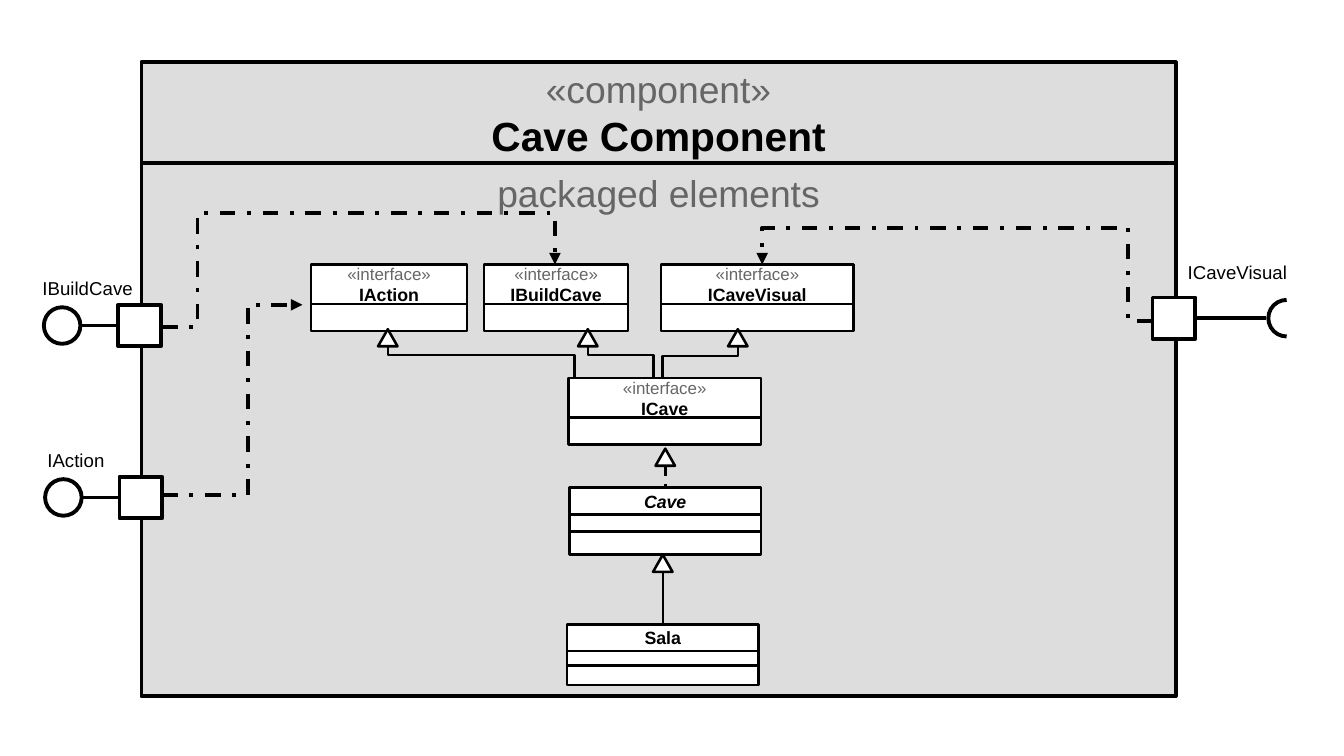
from pptx import Presentation
from pptx import util as u
from pptx.dml.color import RGBColor
from pptx.enum import dml, shapes, text
from pptx.oxml.ns import qn
from lxml import etree

CELL = u.Inches(0.1)  # the slide is a grid of 110.2 columns by 62 rows
BLACK, WHITE, GREY, PANEL = "000000", "FFFFFF", "666666", "DDDDDD"
THICK, THIN = 2.3, 1.5
HEAD_ROWS, BODY_ROWS = 3.3, 2.2
PORT_W, PORT_H, CIRCLE = 3.5, 3.4, 3
TRIANGLE_W, TRIANGLE_H = 1.6, 1.4


def grid(*cells):
    return [round(cell * CELL) for cell in cells]


def color(hex_code):
    return RGBColor.from_string(hex_code)


def set_line(item, width, dashed=False):
    item.line.color.rgb = color(BLACK)
    item.line.width = u.Pt(width)
    if dashed:
        item.line.dash_style = dml.MSO_LINE.DASH_DOT


def write(item, paragraphs, align, anchor, insets):
    """Fill item with (text, size, colour, bold, italic) paragraphs."""
    frame = item.text_frame
    frame.word_wrap = True
    frame.vertical_anchor = anchor
    frame.margin_left = frame.margin_right = u.Inches(insets[0])
    frame.margin_top = frame.margin_bottom = u.Inches(insets[1])
    for index, (words, size, ink, bold, italic) in enumerate(paragraphs):
        para = frame.add_paragraph() if index else frame.paragraphs[0]
        para.text = words
        para.alignment = align
        para.font.name = "Arial"
        para.font.size = u.Pt(size)
        para.font.color.rgb = color(ink)
        para.font.bold = bold
        para.font.italic = italic


def add_preset(page, kind, place, width, fill=WHITE):
    shape = page.shapes.add_shape(kind, *grid(*place))
    shape.shadow.inherit = False
    if fill:
        shape.fill.solid()
        shape.fill.fore_color.rgb = color(fill)
    else:
        shape.fill.background()
    set_line(shape, width)
    return shape


def add_box(page, place, width, fill=WHITE, paragraphs=(), anchor=text.MSO_ANCHOR.MIDDLE):
    box = add_preset(page, shapes.MSO_SHAPE.RECTANGLE, place, width, fill)
    if paragraphs:
        write(box, paragraphs, text.PP_ALIGN.CENTER, anchor, (0.11, 0.06))
    return box


def add_label(page, left, top, words):
    box = page.shapes.add_textbox(*grid(left, top, 11.5, 2.8))
    write(box, [(words, 11, BLACK, False, False)], text.PP_ALIGN.LEFT,
          text.MSO_ANCHOR.TOP, (0.1, 0.05))


def add_straight(page, start, end, width, dashed=False):
    line = page.shapes.add_connector(shapes.MSO_CONNECTOR.STRAIGHT, *grid(*start, *end))
    set_line(line, width, dashed)
    etree.SubElement(line._element.spPr, qn("a:effectLst"))
    return line


def add_route(page, points, width, dependency=False):
    """Draw a right-angled path; a dependency is dash-dotted with an arrowhead."""
    start, *others = [grid(*point) for point in points]
    builder = page.shapes.build_freeform(*start, scale=1.0)
    builder.add_line_segments(others, close=False)
    route = builder.convert_to_shape()
    route.shadow.inherit = False
    route.fill.background()
    set_line(route, width, dependency)
    if dependency:
        outline = route._element.spPr.find(qn("a:ln"))
        etree.SubElement(outline, qn("a:tailEnd"), type="triangle")


def add_triangle(page, center, top):
    place = (center - TRIANGLE_W / 2, top, TRIANGLE_W, TRIANGLE_H)
    add_preset(page, shapes.MSO_SHAPE.ISOSCELES_TRIANGLE, place, THIN)


def add_interface(page, left, top, width, name):
    heading = [("«interface»", 10, GREY, False, False), (name, 10.5, BLACK, True, False)]
    add_box(page, (left, top, width, HEAD_ROWS), THIN, paragraphs=heading)
    add_box(page, (left, top + HEAD_ROWS - 0.05, width, BODY_ROWS), THIN)


def add_class(page, left, top, heights, name, italic, tip):
    """Stack a class's three compartments and join it to the triangle at row tip."""
    width = 15.7
    heading = [(name, 10.5, BLACK, True, italic)]
    center = left + width / 2
    head = add_box(page, (left, top, width, heights[0]), THIN, paragraphs=heading)
    for index in (1, 2):
        place = (left, top + sum(heights[:index]), width, heights[index])
        add_box(page, place, THIN)
    line = add_straight(page, (center, tip + TRIANGLE_H), (center, top), THIN, dashed=italic)
    line.end_connect(head, 0)
    add_triangle(page, center, tip)


def add_generalization(page, start, bend, target):
    child_top, parent_bottom = 31, 27.1
    add_route(page, [(start, child_top), (start, bend), (target, bend),
                     (target, parent_bottom)], THIN)
    add_triangle(page, target, parent_bottom - 0.1)


def add_port(page, left, center):
    return add_box(page, (left, center - PORT_H / 2, PORT_W, PORT_H), THICK)


def add_provided(page, left, center):
    """Draw a port with its ball."""
    ball = (left, center - CIRCLE / 2, CIRCLE, CIRCLE)
    add_preset(page, shapes.MSO_SHAPE.OVAL, ball, THICK)
    port_left = left + 6.1
    port = add_port(page, port_left, center)
    stem = add_straight(page, (left + CIRCLE, center), (port_left, center), THICK)
    stem.end_connect(port, 1)


def add_required(page, left, center):
    """Draw a port with its open socket."""
    port = add_port(page, left, center)
    stem = add_straight(page, (left + PORT_W, center), (103.8, center), THICK)
    stem.begin_connect(port, 3)
    socket = add_preset(page, shapes.MSO_SHAPE.ARC,
                        (104, center - CIRCLE / 2, CIRCLE, CIRCLE), THICK, fill=None)
    # arc angles are in 60000ths of a degree, adjustments in 100000ths
    socket.adjustments[0] = 90 * 0.6
    socket.adjustments[1] = 270 * 0.6


def main():
    deck = Presentation()
    deck.slide_width, deck.slide_height = grid(110.2, 62)
    page = deck.slides.add_slide(deck.slide_layouts[6])

    add_box(page, (11.6, 5.1, 84.8, 8.3), THICK, PANEL,
            [("«component»", 22, GREY, False, False),
             ("Cave Component", 24, BLACK, True, False)])
    add_box(page, (11.6, 13.4, 84.8, 43.7), THICK, PANEL,
            [("packaged elements", 22, GREY, False, False)], text.MSO_ANCHOR.TOP)

    for left, top, width, name in [(25.5, 21.7, 12.8, "IAction"),
                                   (39.7, 21.7, 11.8, "IBuildCave"),
                                   (54.2, 21.7, 15.8, "ICaveVisual"),
                                   (46.6, 31, 15.8, "ICave")]:
        add_interface(page, left, top, width, name)
    for start, bend, target in [(47.1, 29.1, 31.8), (53.6, 29.1, 48.2), (54.3, 29.2, 60.5)]:
        add_generalization(page, start, bend, target)
    add_class(page, 46.7, 40, (2.2, 1.4, 1.9), "Cave", True, 36.8)
    add_class(page, 46.5, 51.2, (2.2, 1.2, 1.6), "Sala", False, 45.5)

    add_provided(page, 3.6, 26.7)
    add_provided(page, 3.7, 40.8)
    add_required(page, 94.5, 26.1)
    for points in [
        [(94.5, 26.3), (92.5, 26.3), (92.5, 18.7), (62.5, 18.7), (62.5, 21.7)],
        [(13.3, 26.8), (16.2, 26.8), (16.2, 17.5), (45.5, 17.5), (45.5, 21.7)],
        [(13.3, 40.6), (20.3, 40.6), (20.3, 25), (24.8, 25)],
    ]:
        add_route(page, points, THICK, dependency=True)

    for left, top, name in [(2.9, 36.3, "IAction"), (2.5, 22.2, "IBuildCave"),
                            (96.4, 20.9, "ICaveVisual")]:
        add_label(page, left, top, name)
    deck.save("out.pptx")


if __name__ == "__main__":
    main()
